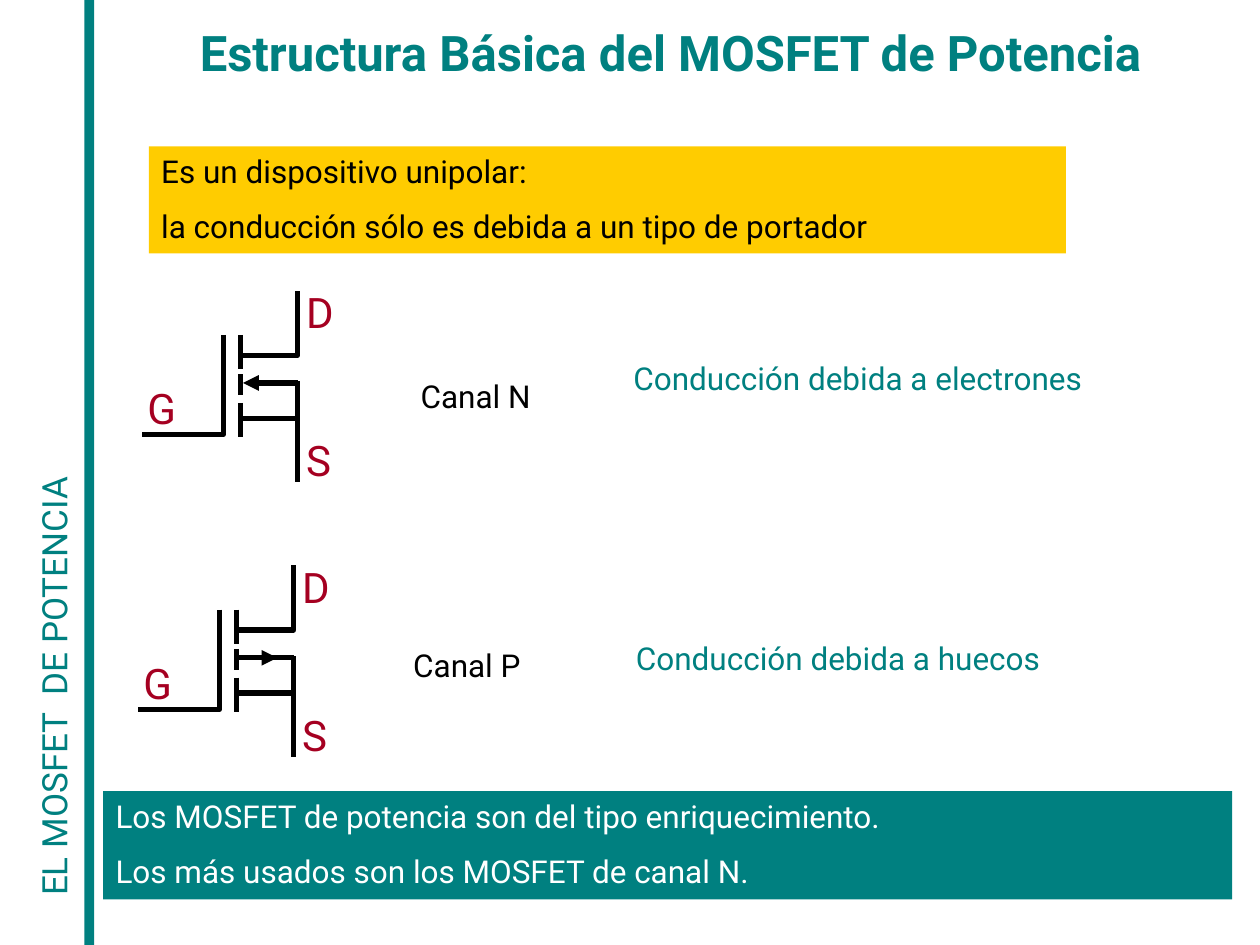
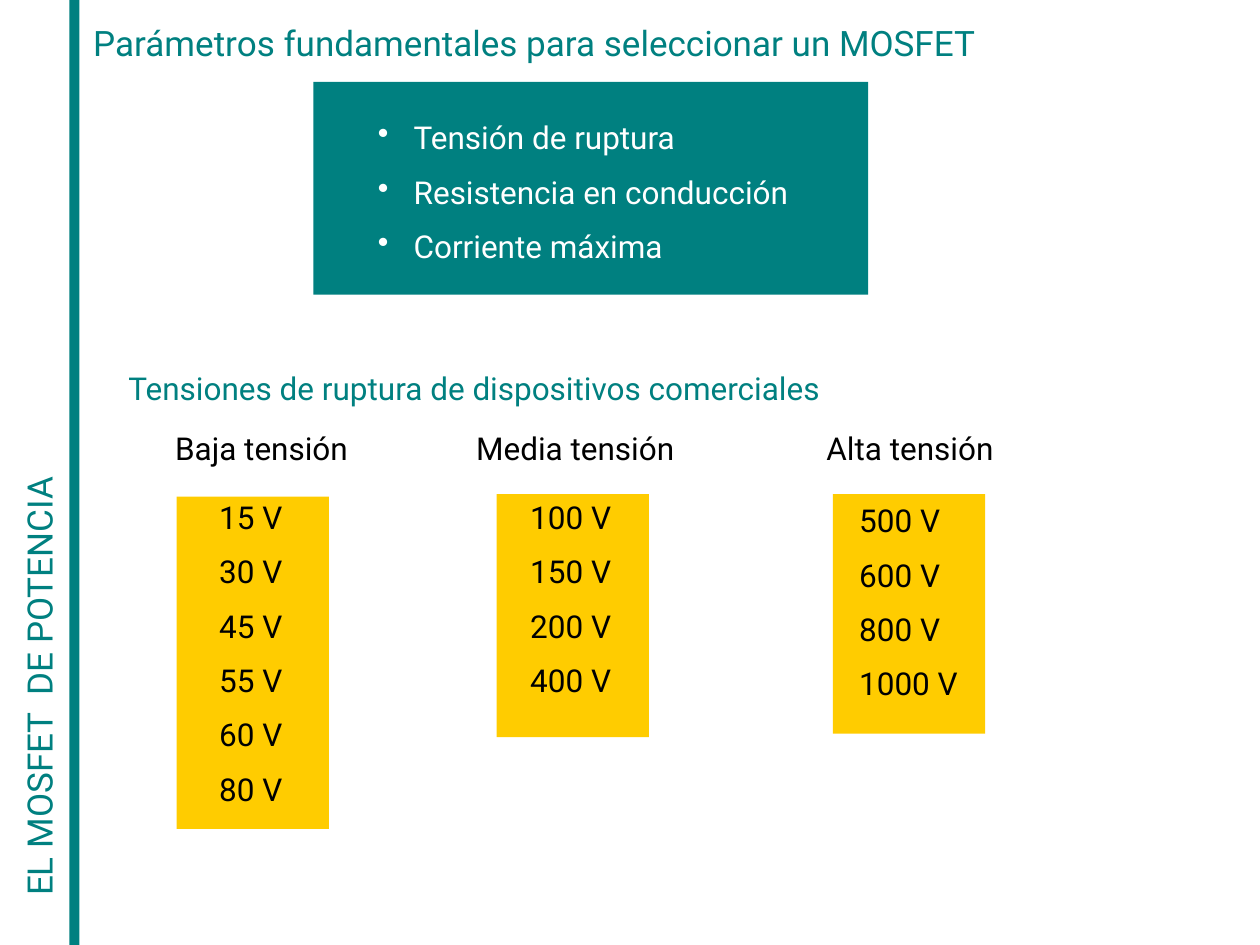
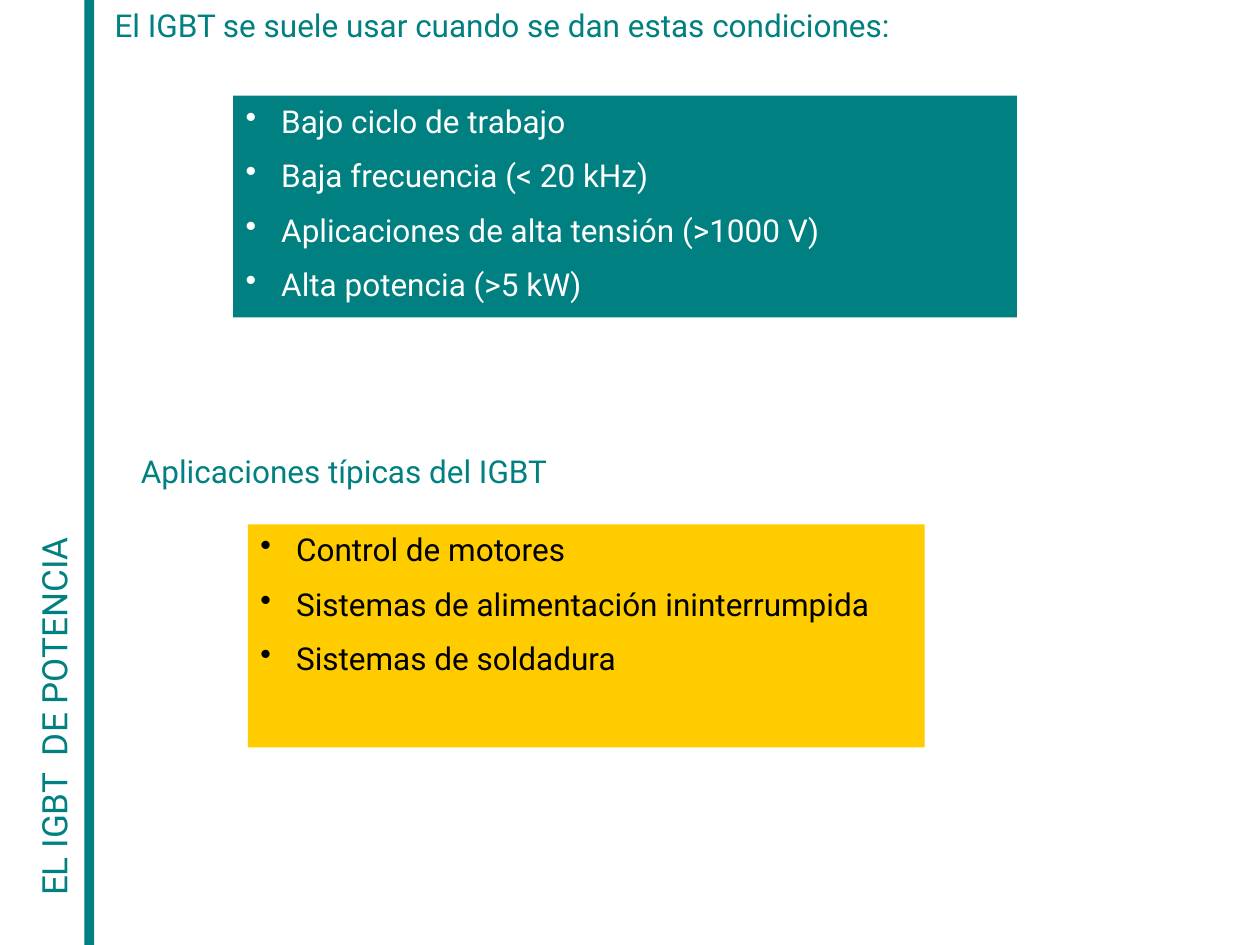
from dataclasses import dataclass

from lxml import etree
from pptx import Presentation
from pptx.dml.color import RGBColor
from pptx.enum.shapes import MSO_CONNECTOR, MSO_SHAPE
from pptx.enum.text import MSO_ANCHOR, PP_ALIGN
from pptx.oxml.ns import qn
from pptx.util import Cm, Pt

RECTANGLE = MSO_SHAPE.RECTANGLE
STRAIGHT = MSO_CONNECTOR.STRAIGHT
TOP = MSO_ANCHOR.TOP
LEFT, CENTER = PP_ALIGN.LEFT, PP_ALIGN.CENTER


@dataclass(frozen=True)
class Theme:
    font: str = "Roboto"
    teal: RGBColor = RGBColor(0x00, 0x80, 0x80)
    yellow: RGBColor = RGBColor(0xFF, 0xCC, 0x00)
    red: RGBColor = RGBColor(0xA5, 0x00, 0x21)
    black: RGBColor = RGBColor(0x00, 0x00, 0x00)
    white: RGBColor = RGBColor(0xFF, 0xFF, 0xFF)
    title: int = 28
    terminal: int = 24
    heading: int = 20
    body: int = 18
    para_gap: float = 9.5
    stroke: int = 3
    bullet_indent: float = 0.72


THEME = Theme()
PAGE_WIDTH, PAGE_HEIGHT = 25.4, 19.05
LINE_HEIGHT = 1.02


def lengths(*values):
    return [Cm(value) for value in values]


# Text and panels

def add_bullet(para):
    props = para._p.get_or_add_pPr()
    indent = Cm(THEME.bullet_indent)
    props.set("marL", str(indent))
    props.set("indent", str(-indent))
    etree.SubElement(props, qn("a:buChar")).set("char", "•")


def write(shape, text, color=THEME.black, size=THEME.body, bold=False,
          align=LEFT, bullets=False):
    """Fill a shape with one paragraph per line of text."""
    frame = shape.text_frame
    frame.word_wrap = True
    frame.vertical_anchor = TOP
    for index, line in enumerate(text.split("\n")):
        para = frame.add_paragraph() if index else frame.paragraphs[0]
        para.alignment = align
        if index:
            para.space_before = Pt(THEME.para_gap)
        if bullets:
            add_bullet(para)
        span = para.add_run()
        span.text = line
        span.font.name = THEME.font
        span.font.size = Pt(size)
        span.font.bold = bold
        span.font.color.rgb = color


def add_text(page, box, text, **text_format):
    shape = page.shapes.add_textbox(*lengths(*box))
    write(shape, text, **text_format)
    return shape


def add_panel(page, box, fill, text=None, **text_format):
    panel = page.shapes.add_shape(RECTANGLE, *lengths(*box))
    panel.shadow.inherit = False
    panel.fill.solid()
    panel.fill.fore_color.rgb = fill
    panel.line.fill.background()
    if text:
        write(panel, text, **text_format)


# Circuit wires

def style_stroke(line):
    line.color.rgb = THEME.black
    line.width = Pt(THEME.stroke)


def add_wire(page, left, top, start, end, arrow=False):
    """Straight wire; an arrow points at its start."""
    wire = page.shapes.add_connector(STRAIGHT, *lengths(
        left + start[0], top + start[1], left + end[0], top + end[1]))
    style_stroke(wire.line)
    if arrow:
        head = etree.SubElement(wire.line._get_or_add_ln(), qn("a:headEnd"))
        head.set("type", "triangle")
    etree.SubElement(wire._element.spPr, qn("a:effectLst"))


def add_bent_wire(page, left, top, points):
    corners = [lengths(left + x, top + y) for x, y in points]
    builder = page.shapes.build_freeform(*corners[0])
    builder.add_line_segments(corners[1:], close=False)
    wire = builder.convert_to_shape()
    wire.shadow.inherit = False
    wire.fill.background()
    style_stroke(wire.line)


def add_mosfet(page, left, top, channel):
    gate, bar, wire, right = 1.78, 2.13, 2.18, 3.28
    # Terminal letters
    for letter, x, y in (("G", 0, 1.93), ("D", 3.2, 0), ("S", 3.2, 2.97)):
        add_text(page, (left + x, top + y, 1.2, 1.27), letter,
                 color=THEME.red, size=THEME.terminal)
    # Gate, drain and source
    for points in (((gate, 1.09), (gate, 3.1), (0.15, 3.1)),
                   ((wire, 1.5), (right, 1.5), (right, 0.2)),
                   ((wire, 2.77), (right, 2.77), (right, 4.06))):
        add_bent_wire(page, left, top, points)
    # Broken channel
    for upper, lower in ((1.09, 1.78), (1.88, 2.31), (2.46, 3.15)):
        add_wire(page, left, top, (bar, upper), (bar, lower))
    # Body contact
    add_wire(page, left, top, (right, 2.79), (right, 2.03))
    add_wire(page, left, top, (wire, 2.06), (right, 2.06),
             arrow=channel == "N")
    if channel == "P":
        add_wire(page, left, top, (2.95, 2.06), (2.46, 2.06), arrow=True)


# Slides

def add_page(deck, topic, bar_left=1.7):
    """Blank slide with the side bar and its vertical label."""
    page = deck.slides.add_slide(deck.slide_layouts[6])
    add_panel(page, (bar_left, 0, 0.2, PAGE_HEIGHT), THEME.teal)
    label = add_text(page, (bar_left - 9.53, 8.86, 17.81, 1.09), topic,
                     color=THEME.teal, size=THEME.heading)
    label.rotation = 270
    return page


def add_channel_row(page, left, top, channel, carriers, name_at, note_at):
    add_mosfet(page, left, top, channel)
    add_text(page, (left + name_at[0], top + name_at[1], 3.12, LINE_HEIGHT),
             f"Canal {channel}")
    add_text(page, (left + note_at[0], top + note_at[1], 12.09, LINE_HEIGHT),
             f"Conducción debida a {carriers}", color=THEME.teal)


def structure_page(deck):
    page = add_page(deck, "EL MOSFET  DE POTENCIA")
    add_text(page, (2.72, 0.33, 21.59, 3.18),
             "Estructura Básica del MOSFET de Potencia", color=THEME.teal,
             size=THEME.title, bold=True, align=CENTER)
    add_panel(page, (3, 2.95, 18.49, 2.16), THEME.yellow,
              "Es un dispositivo unipolar:\n"
              "la conducción sólo es debida a un tipo de portador")
    add_channel_row(page, 2.72, 5.66, "N", "electrones",
                    (5.51, 1.81), (9.8, 1.45))
    add_channel_row(page, 2.64, 11.2, "P", "huecos",
                    (5.44, 1.7), (9.93, 1.55))
    add_panel(page, (2.08, 15.95, 22.76, 2.18), THEME.teal,
              "Los MOSFET de potencia son del tipo enriquecimiento.\n"
              "Los más usados son los MOSFET de canal N.",
              color=THEME.white)


def add_voltage_column(page, box, name, name_shift, volts, volts_shift):
    """Yellow panel with a heading above it and a list of voltages."""
    left, top, width, height = box
    add_panel(page, box, THEME.yellow)
    add_text(page, (left + name_shift, 8.53, 5.2, LINE_HEIGHT),
             f"{name} tensión")
    add_text(page, (left + volts_shift[0], top + volts_shift[1],
                    width + 0.2, height),
             "\n".join(f"{volt} V" for volt in volts))


def parameters_page(deck):
    page = add_page(deck, "EL MOSFET  DE POTENCIA", bar_left=1.4)
    add_text(page, (1.63, 0.3, 20.5, 1.09),
             "Parámetros fundamentales para seleccionar un MOSFET",
             color=THEME.teal, size=THEME.heading)
    # Selection parameters
    add_panel(page, (6.32, 1.65, 11.18, 4.29), THEME.teal)
    add_text(page, (7.37, 2.26, 10.72, 3.3),
             "Tensión de ruptura\nResistencia en conducción\n"
             "Corriente máxima", color=THEME.white, bullets=True)
    # Breakdown voltages
    add_text(page, (2.34, 7.32, 16.18, LINE_HEIGHT),
             "Tensiones de ruptura de dispositivos comerciales",
             color=THEME.teal)
    add_voltage_column(page, (3.56, 10.01, 3.07, 6.7), "Baja", -0.28,
                       (15, 30, 45, 55, 60, 80), (0.61, -0.1))
    add_voltage_column(page, (10.01, 9.96, 3.07, 4.9), "Media", -0.66,
                       (100, 150, 200, 400), (0.43, -0.05))
    add_voltage_column(page, (16.79, 9.96, 3.07, 4.83), "Alta", -0.38,
                       (500, 600, 800, 1000), (0.28, 0.02))


def igbt_page(deck):
    page = add_page(deck, "EL IGBT  DE POTENCIA")
    # Conditions of use
    add_text(page, (2.06, 0, 18.54, LINE_HEIGHT),
             "El IGBT se suele usar cuando se dan estas condiciones:",
             color=THEME.teal)
    add_panel(page, (4.7, 1.93, 15.8, 4.47), THEME.teal,
              "Bajo ciclo de trabajo\nBaja frecuencia (< 20 kHz)\n"
              "Aplicaciones de alta tensión (>1000 V)\n"
              "Alta potencia (>5 kW)", color=THEME.white, bullets=True)
    # Typical applications
    add_text(page, (2.59, 8.99, 10.92, LINE_HEIGHT),
             "Aplicaciones típicas del IGBT", color=THEME.teal)
    add_panel(page, (5, 10.57, 13.64, 4.5), THEME.yellow,
              "Control de motores\nSistemas de alimentación ininterrumpida\n"
              "Sistemas de soldadura", bullets=True)


def main():
    deck = Presentation()
    deck.slide_width, deck.slide_height = lengths(PAGE_WIDTH, PAGE_HEIGHT)
    structure_page(deck)
    parameters_page(deck)
    igbt_page(deck)
    deck.save("out.pptx")


if __name__ == "__main__":
    main()
